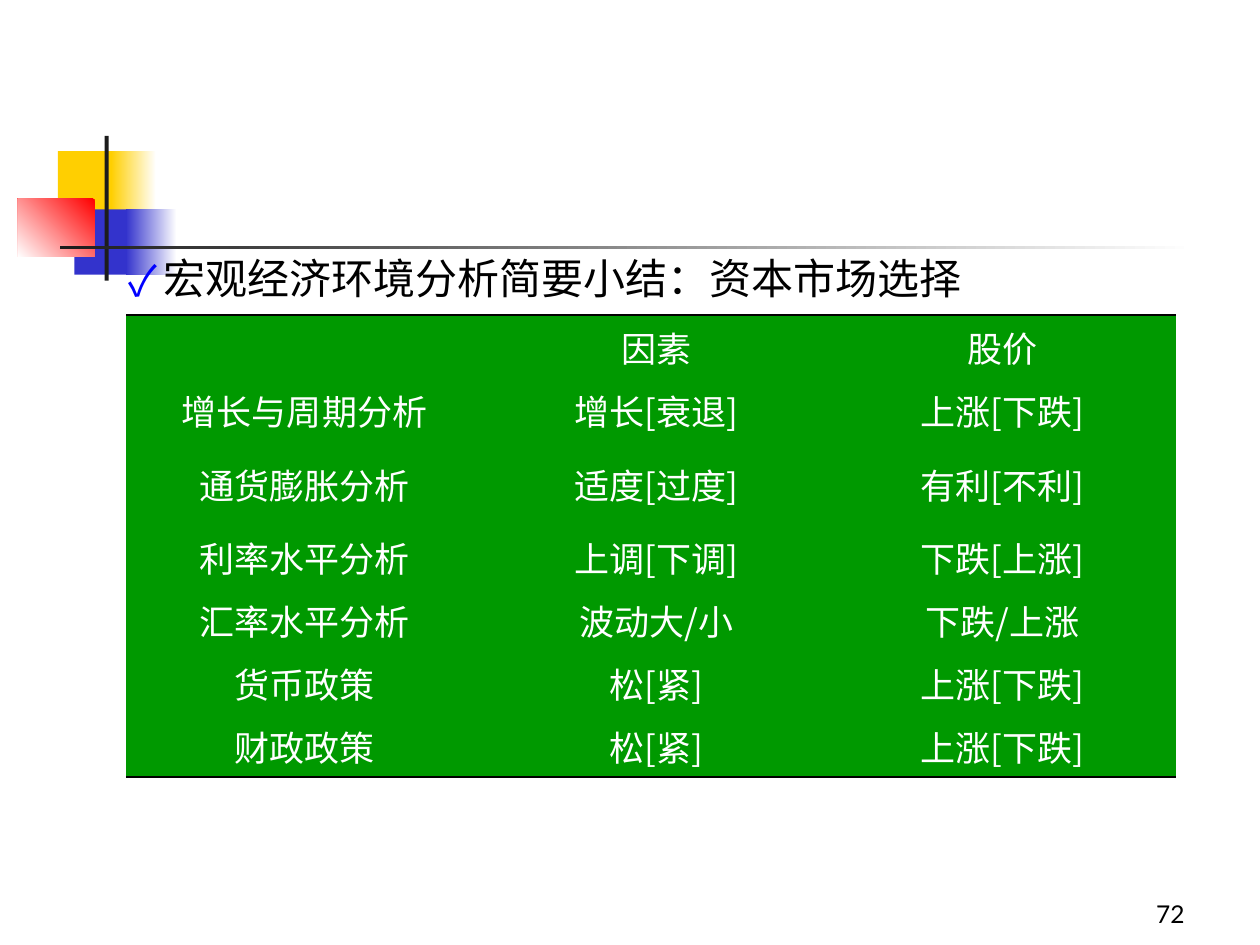
from lxml import etree
from pptx import Presentation, util as u
from pptx.dml.color import RGBColor
from pptx.enum import shapes, text
from pptx.oxml.ns import qn

COLORS = {
    "white": "FFFFFF", "black": "000000", "ink": "1C1C1C", "yellow": "FFCF01",
    "indigo": "3333CC", "red": "FF0000", "tick": "0000FF", "green": "009900",
}
CJK, LATIN = "Noto Sans CJK SC", "Lato"
NO_TABLE_STYLE = "{2D5ABB26-0587-4C30-8999-92F81FD0307C}"
ROWS = [
    ("", "因素", "股价"),
    ("增长与周期分析", "增长[衰退]", "上涨[下跌]"),
    ("通货膨胀分析", "适度[过度]", "有利[不利]"),
    ("利率水平分析", "上调[下调]", "下跌[上涨]"),
    ("汇率水平分析", "波动大/小", "下跌/上涨"),
    ("货币政策", "松[紧]", "上涨[下跌]"),
    ("财政政策", "松[紧]", "上涨[下跌]"),
]


def rgb(name):
    return RGBColor.from_string(COLORS[name])


def write(tf, content, *, size, color, font=CJK, align=text.PP_ALIGN.LEFT,
          spacing=None, bullet=None, indent=0.71):
    p = tf.paragraphs[0]
    p.alignment = align
    if spacing:
        p.line_spacing = spacing
    if bullet:
        pPr = p._p.get_or_add_pPr()
        pPr.set("marL", str(u.Cm(indent)))
        pPr.set("indent", str(-u.Cm(indent)))
        bu_clr = etree.SubElement(pPr, qn("a:buClr"))
        etree.SubElement(bu_clr, qn("a:srgbClr"), val=COLORS["tick"])
        etree.SubElement(pPr, qn("a:buFont"), typeface=font)
        etree.SubElement(pPr, qn("a:buChar"), char=bullet)
    r = p.add_run()
    r.text = content
    r.font.size = u.Pt(size)
    r.font.name = font
    r.font.color.rgb = rgb(color)
    etree.SubElement(r._r.get_or_add_rPr(), qn("a:ea"), typeface=font)


class SlideBuilder:
    """Holds the deck style and the current slide, and adds elements to it."""

    def __init__(self, prs):
        self.s = prs.slides.add_slide(prs.slide_layouts[6])
        self.cell_size = 20
        self.rule_width = 1.08

    def block(self, x, y, w, h, colors, angle=180):
        sp = self.s.shapes.add_shape(
            shapes.MSO_SHAPE.RECTANGLE, *map(u.Cm, (x, y, w, h)))
        sp.shadow.inherit = False
        sp.line.fill.background()
        if len(colors) == 1:
            sp.fill.solid()
            sp.fill.fore_color.rgb = rgb(colors[0])
            return
        sp.fill.gradient()
        sp.fill.gradient_angle = angle
        for stop, color in zip(sp.fill.gradient_stops, colors):
            stop.color.rgb = rgb(color)

    def label(self, x, y, w, h, content, anchor=text.MSO_ANCHOR.TOP, **style):
        tf = self.s.shapes.add_textbox(*map(u.Cm, (x, y, w, h))).text_frame
        tf.word_wrap = True
        tf.vertical_anchor = anchor
        write(tf, content, **style)

    def rule(self, cell, tag):
        ln = etree.Element(qn(tag), w=str(u.Pt(self.rule_width)))
        fill = etree.SubElement(ln, qn("a:solidFill"))
        etree.SubElement(fill, qn("a:srgbClr"), val=COLORS["black"])
        cell._tc.get_or_add_tcPr().insert(0, ln)

    def table(self, x, y, widths, heights, rows):
        size = (sum(widths), sum(heights))
        table = self.s.shapes.add_table(
            len(rows), len(widths), *map(u.Cm, (x, y, *size))).table
        table.first_row = table.horz_banding = False
        table._tbl.tblPr.find(qn("a:tableStyleId")).text = NO_TABLE_STYLE
        for column, width in zip(table.columns, widths):
            column.width = u.Cm(width)
        for i, (row, height, values) in enumerate(zip(table.rows, heights, rows)):
            row.height = u.Cm(height)
            for cell, value in zip(row.cells, values):
                cell.fill.solid()
                cell.fill.fore_color.rgb = rgb("green")
                if value:
                    write(cell.text_frame, value, size=self.cell_size,
                          color="white", align=text.PP_ALIGN.CENTER)
                if i == 0:
                    self.rule(cell, "a:lnT")
                elif i == len(rows) - 1:
                    self.rule(cell, "a:lnB")


def main():
    prs = Presentation()
    prs.slide_width, prs.slide_height = u.Cm(25.4), u.Cm(19.05)
    slide = SlideBuilder(prs)

    slide.block(1.17, 3.05, 1.22, 1.32, ["yellow"])
    slide.block(2.24, 3.05, 0.91, 1.32, ["white", "yellow"])
    slide.block(1.5, 4.22, 1.17, 1.32, ["indigo"])
    slide.block(2.54, 4.22, 1.02, 1.32, ["white", "indigo"])
    slide.block(0.36, 4.01, 1.55, 1.17, ["red", "white"], angle=225)
    slide.block(2.11, 2.74, 0.08, 2.92, ["ink"])
    slide.block(1.22, 4.95, 22.86, 0.08, ["white", "ink"])

    slide.label(2.34, 5.08, 17.78, 1.17, "宏观经济环境分析简要小结：资本市场选择",
                size=24, color="black", spacing=0.9, bullet="✓")
    slide.table(2.54, 6.35, [7.2, 6.98, 6.98],
                [1.27, 1.5, 1.47] + [1.27] * 4, ROWS)
    slide.label(18.85, 17.58, 5.28, 1.27, "72", anchor=text.MSO_ANCHOR.BOTTOM,
                size=14, color="black", font=LATIN, align=text.PP_ALIGN.RIGHT)
    prs.save("out.pptx")


if __name__ == "__main__":
    main()
